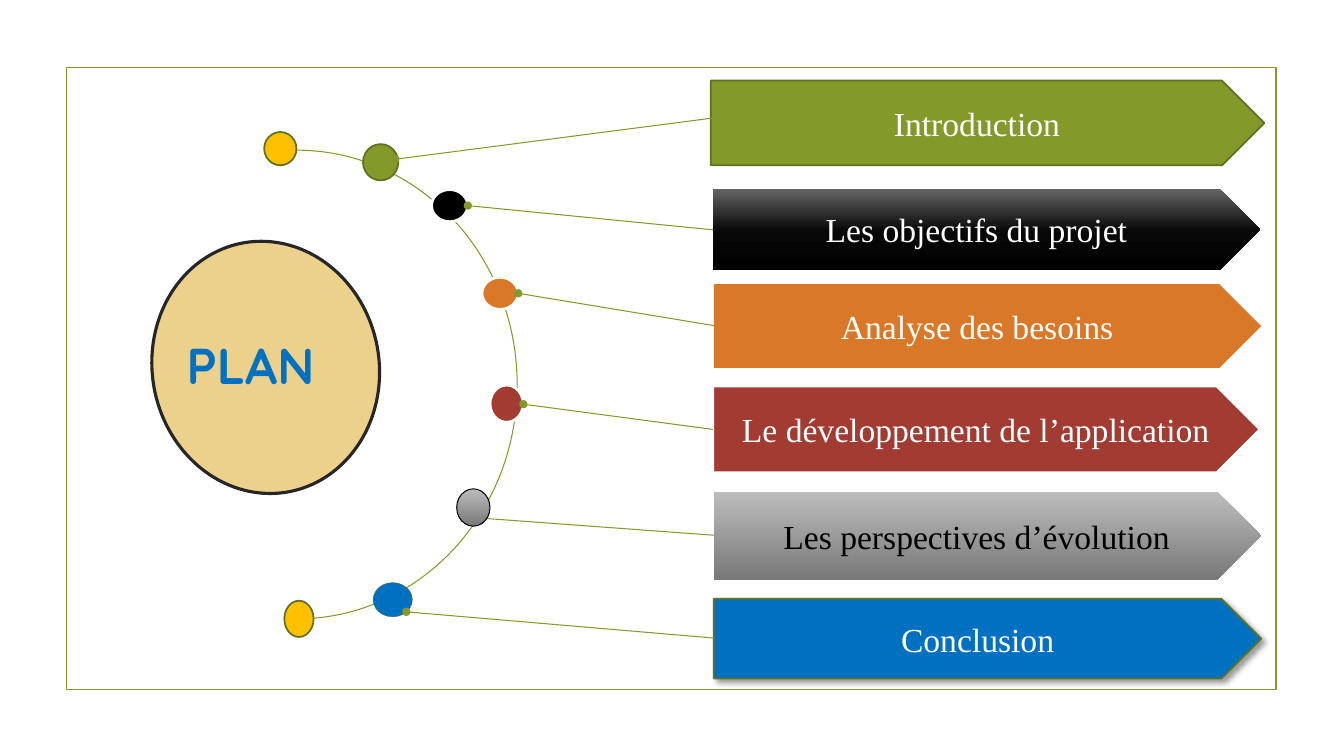
from dataclasses import dataclass
from typing import Optional, Union

from lxml.etree import SubElement
from pptx import Presentation
from pptx.dml.color import RGBColor
from pptx.enum.shapes import MSO_CONNECTOR, MSO_SHAPE
from pptx.enum.text import MSO_ANCHOR, MSO_AUTO_SIZE, PP_ALIGN
from pptx.oxml.ns import qn
from pptx.util import Emu, Pt

PX = 9144  # 100 px to the inch
FRAME = (66, 67, 1200, 617)
COLORS = {
    "white": "FFFFFF", "black": "000000", "soft_black": "080808",
    "dark_gray": "666666", "charcoal": "262626", "silver": "BCBCBC",
    "gray": "797979", "green": "83992A", "dark_green": "61711F",
    "yellow": "FFC000", "orange": "D97828", "red": "A23C33",
    "blue": "0070C0", "sand": "EBD18C",
}
# Gradient stops run from top to bottom
BLACK_FADE = ((0, "dark_gray"), (52, "soft_black"), (100, "black"))
GRAY_FADE = ((0, "silver"), (100, "gray"))


@dataclass
class Topic:
    """Plate, dot and link are measured from the frame's corner."""
    title: str
    plate: tuple
    plate_fill: Union[str, tuple]
    plate_line: Optional[tuple]
    dot: tuple
    dot_fill: Union[str, tuple]
    dot_line: tuple
    link: tuple
    ink: str = "white"
    link_behind: bool = False
    raised: bool = False


EDGE = ("dark_green", 1.25)
HALO = ("white", 2)
TOPICS = [
    Topic("Introduction", (639, 13, 549, 84), "green", EDGE,
          (294, 76, 35, 36), "green", EDGE, (326, 91, 642, 50)),
    Topic("Les objectifs du projet", (641, 120, 543, 81), BLACK_FADE, None,
          (362, 121, 36, 32), "black", HALO, (398, 137, 641, 161)),
    Topic("Analyse des besoins", (642, 215, 543, 83), "orange", None,
          (412, 208, 36, 32), "orange", HALO, (448, 224, 642, 256)),
    Topic("Le développement de l’application", (641, 316, 543, 86), "red", HALO,
          (420, 315, 33, 37), "red", HALO, (453, 334, 641, 359)),
    Topic("Les perspectives d’évolution", (642, 421, 543, 87), GRAY_FADE, None,
          (387, 418, 33, 37), GRAY_FADE, ("black", 0.75), (411, 447, 642, 464),
          ink="black", link_behind=True),
    Topic("Conclusion", (642, 527, 543, 79), "blue", EDGE,
          (304, 511, 39, 34), "blue", ("dark_green", 0.25), (337, 540, 642, 566),
          raised=True),
]


def rgb(name):
    return RGBColor.from_string(COLORS[name])


def place(box, part):
    """Turn a part's left, top, width, height inside box into EMU."""
    left, top, width, height = part
    return [Emu(n * PX) for n in (box[0] + left, box[1] + top, width, height)]


def fill_gradient(shape, stops):
    shape.fill.gradient()
    shape.fill.gradient_angle = 270
    stop_list = shape.element.spPr.find(qn("a:gradFill")).find(qn("a:gsLst"))
    for old_stop in list(stop_list):
        stop_list.remove(old_stop)
    for position, color in stops:
        stop = SubElement(stop_list, qn("a:gs"), pos=str(position * 1000))
        SubElement(stop, qn("a:srgbClr"), val=COLORS[color])


def draw(slide, kind, box, part, fill=None, line=None):
    shape = slide.shapes.add_shape(kind, *place(box, part))
    shape.shadow.inherit = False
    if fill is None:
        shape.fill.background()
    elif isinstance(fill, tuple):
        fill_gradient(shape, fill)
    else:
        shape.fill.solid()
        shape.fill.fore_color.rgb = rgb(fill)
    if line is None:
        shape.line.fill.background()
    else:
        color, width = line
        shape.line.color.rgb = rgb(color)
        shape.line.width = Pt(width)
    return shape


def write(frame, text, font_name, size, color, bold=False):
    frame.word_wrap = True
    paragraph = frame.paragraphs[0]
    paragraph.alignment = PP_ALIGN.CENTER
    run = paragraph.add_run()
    run.text = text
    run.font.name = font_name
    run.font.size = Pt(size)
    run.font.bold = bold
    run.font.color.rgb = rgb(color)


def raise_with_shadow(shape):
    effects = shape.element.spPr.find(qn("a:effectLst"))
    shadow = SubElement(effects, qn("a:outerShdw"), blurRad=str(Pt(4)),
                        dist=str(Pt(3)), dir=str(45 * 60000),
                        algn="tl", rotWithShape="0")
    color = SubElement(shadow, qn("a:srgbClr"), val=COLORS["black"])
    SubElement(color, qn("a:alpha"), val="40000")


def draw_link(slide, box, ends):
    x, y = box[:2]
    x1, y1, x2, y2 = ends
    link = slide.shapes.add_connector(
        MSO_CONNECTOR.STRAIGHT,
        *[Emu(n * PX) for n in (x + x1, y + y1, x + x2, y + y2)])
    link.line.color.rgb = rgb("green")
    link.line.width = Pt(0.75)
    SubElement(link.line._get_or_add_ln(), qn("a:headEnd"), type="oval")
    SubElement(link.element.spPr, qn("a:effectLst"))


def draw_hub(slide, box):
    """Draw the PLAN disc and the arc between its two yellow ends."""
    disc = draw(slide, MSO_SHAPE.OVAL, box, (72, 185, 251, 225),
                "sand", ("charcoal", 2.25))
    disc.rotation = 79.6
    heading = slide.shapes.add_textbox(*place(box, (67, 260, 231, 71)))
    heading.text_frame.auto_size = MSO_AUTO_SIZE.SHAPE_TO_FIT_TEXT
    write(heading.text_frame, "PLAN", "Quicksand", 36, "blue", bold=True)
    arc = draw(slide, MSO_SHAPE.ARC, box, (10, 82, 437, 465),
               line=("green", 0.75))
    arc.adjustments[0] = 159.65
    arc.adjustments[1] = 54.485
    for arc_end in ((196, 64, 32, 33), (216, 529, 29, 36)):
        draw(slide, MSO_SHAPE.FLOWCHART_CONNECTOR, box, arc_end, "yellow", EDGE)


def draw_topic(slide, box, topic):
    plate = draw(slide, MSO_SHAPE.PENTAGON, box, topic.plate,
                 topic.plate_fill, topic.plate_line)
    plate.text_frame.vertical_anchor = MSO_ANCHOR.MIDDLE
    write(plate.text_frame, topic.title, "Times New Roman", 24, topic.ink)
    if topic.raised:
        raise_with_shadow(plate)
    if topic.link_behind:
        draw_link(slide, box, topic.link)
    draw(slide, MSO_SHAPE.FLOWCHART_CONNECTOR, box, topic.dot,
         topic.dot_fill, topic.dot_line)
    if not topic.link_behind:
        draw_link(slide, box, topic.link)


def main():
    deck = Presentation()
    deck.slide_width, deck.slide_height = Emu(1333 * PX), Emu(750 * PX)
    slide = deck.slides.add_slide(deck.slide_layouts[6])
    draw(slide, MSO_SHAPE.RECTANGLE, FRAME, (0, 0, *FRAME[2:]),
         line=("green", 1.25))
    draw_hub(slide, FRAME)
    for topic in TOPICS:
        draw_topic(slide, FRAME, topic)
    deck.save("out.pptx")


if __name__ == "__main__":
    main()
